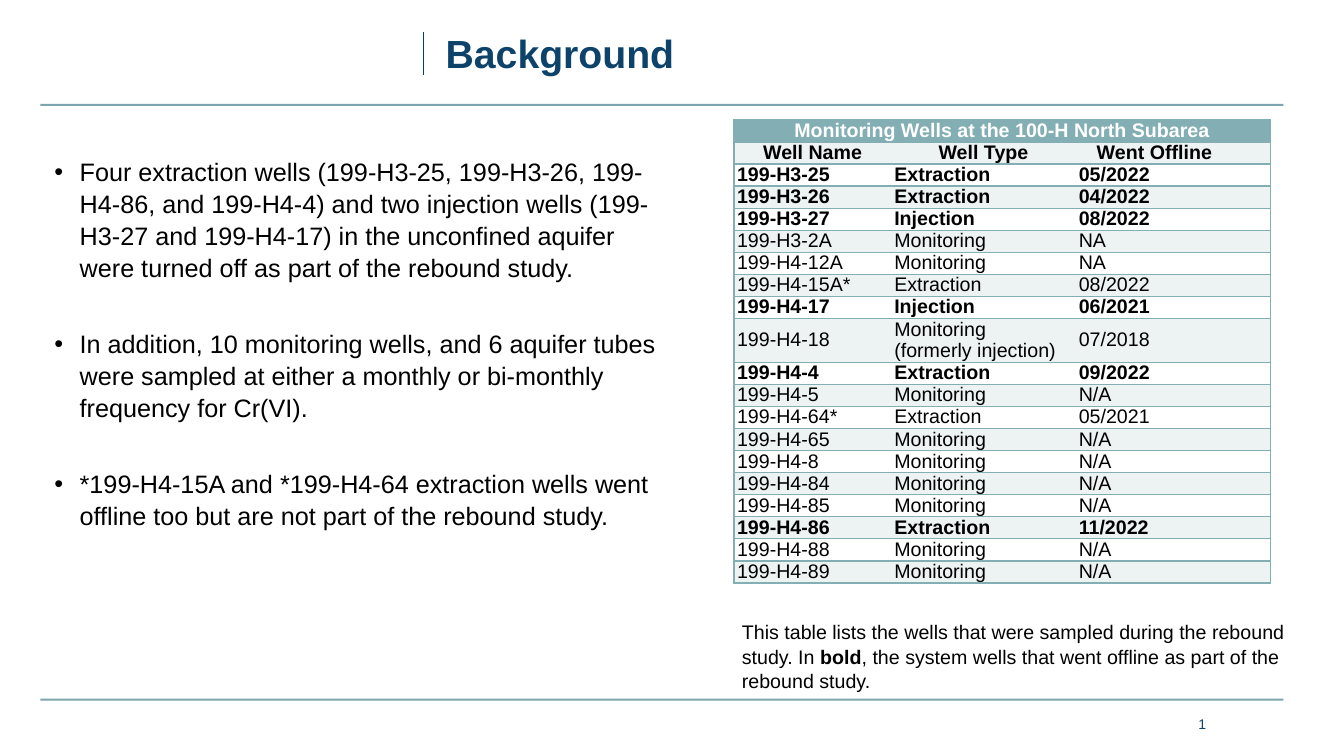
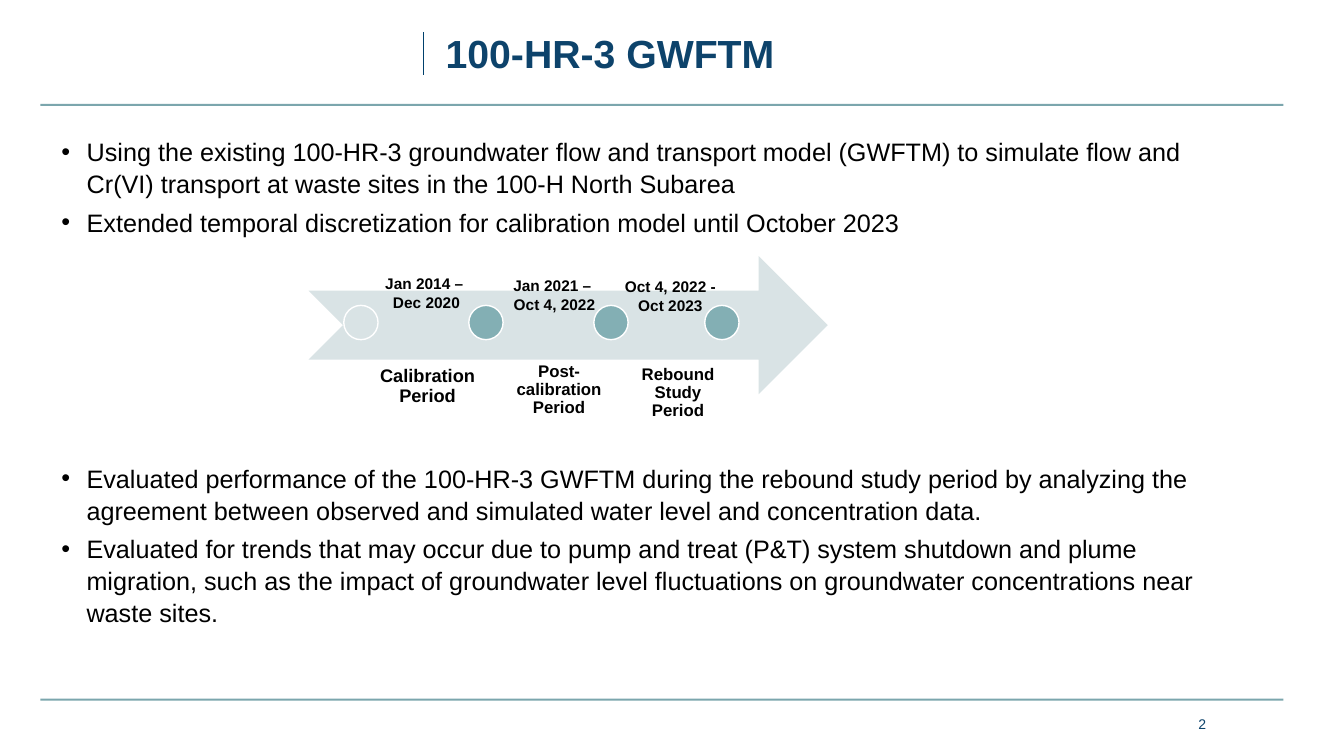
from dataclasses import dataclass
from typing import Optional

from lxml import etree
from pptx import Presentation, util as u
from pptx.dml.color import RGBColor
from pptx.enum import shapes, text
from pptx.oxml import ns

FONT = "Arial"
NAVY, RULE, TEAL = "0D436B", "7BA6AD", "83AFB4"
PALE, BAND, WHITE, BLACK = "D9E3E5", "EDF2F2", "FFFFFF", "000000"
LEFT, CENTER = text.PP_ALIGN.LEFT, text.PP_ALIGN.CENTER
TOP, MIDDLE, BOTTOM = (
    text.MSO_ANCHOR.TOP, text.MSO_ANCHOR.MIDDLE, text.MSO_ANCHOR.BOTTOM)


@dataclass
class Box:
    left: float
    top: float
    width: float
    height: float

    def emu(self) -> list:
        return [u.Inches(v) for v in (self.left, self.top, self.width, self.height)]


@dataclass
class Label:
    words: str
    box: Box
    size: float
    spacing: float = 1.05
    anchor: text.MSO_ANCHOR = TOP
    inset: Optional[float] = None


@dataclass
class Well:
    name: str
    kind: str
    offline: str
    bold: bool = False


WELLS = [
    Well("199‑H3‑25", "Extraction", "05/2022", True),
    Well("199‑H3‑26", "Extraction", "04/2022", True),
    Well("199‑H3‑27", "Injection", "08/2022", True),
    Well("199‑H3‑2A", "Monitoring", "NA"),
    Well("199‑H4‑12A", "Monitoring", "NA"),
    Well("199‑H4‑15A*", "Extraction", "08/2022"),
    Well("199‑H4‑17", "Injection", "06/2021", True),
    Well("199‑H4‑18", "Monitoring\n(formerly injection)", "07/2018"),
    Well("199‑H4‑4", "Extraction", "09/2022", True),
    Well("199‑H4‑5", "Monitoring", "N/A"),
    Well("199‑H4‑64*", "Extraction", "05/2021"),
    Well("199‑H4‑65", "Monitoring", "N/A"),
    Well("199‑H4‑8", "Monitoring", "N/A"),
    Well("199‑H4‑84", "Monitoring", "N/A"),
    Well("199‑H4‑85", "Monitoring", "N/A"),
    Well("199‑H4‑86", "Extraction", "11/2022", True),
    Well("199‑H4‑88", "Monitoring", "N/A"),
    Well("199‑H4‑89", "Monitoring", "N/A"),
]

TIMELINE = [
    Label("Calibration Period", Box(3.58, 3.54, 1.32, 1.37), 13, 0.9, TOP, 0.1),
    Label("Post-calibration Period", Box(5.02, 2.86, 1.05, 1.37), 12, 0.9, BOTTOM, 0.09),
    Label("Rebound Study Period", Box(6.2, 3.54, 1.05, 1.37), 12, 0.9, TOP, 0.09),
    Label("Jan 2014 – \nDec 2020", Box(3.55, 2.66, 1.36, 0.47), 11),
    Label("Jan 2021 – \nOct 4, 2022", Box(4.82, 2.68, 1.36, 0.47), 11),
    Label("Oct 4, 2022 - Oct 2023", Box(5.97, 2.69, 1.36, 0.47), 11),
]


def rgb(value: str) -> RGBColor:
    return RGBColor.from_string(value)


def apply(target, values: dict) -> None:
    for key, value in values.items():
        setattr(target, key, value)


def style(font, size: float, color: str = BLACK, bold: bool = False) -> None:
    apply(font, {"name": FONT, "size": u.Pt(size), "bold": bold})
    font.color.rgb = rgb(color)


def layout_paragraph(p, align=LEFT, spacing: float = 1.05, after: float = 0) -> None:
    apply(p, {"alignment": align, "line_spacing": spacing,
              "space_before": u.Pt(0), "space_after": u.Pt(after)})


def prepare(tf, anchor=TOP) -> None:
    apply(tf, {"word_wrap": True, "auto_size": text.MSO_AUTO_SIZE.NONE,
               "vertical_anchor": anchor})


def place(sp, box: Box) -> None:
    apply(sp, dict(zip(("left", "top", "width", "height"), box.emu())))


def add_text(s, box: Box, anchor=TOP):
    tf = s.shapes.add_textbox(*box.emu()).text_frame
    prepare(tf, anchor)
    return tf


def add_shape(s, kind, box: Box, fill: Optional[str], line: Optional[str] = None) -> None:
    sp = s.shapes.add_shape(kind, *box.emu())
    sp.shadow.inherit = False
    if fill:
        sp.fill.solid()
        sp.fill.fore_color.rgb = rgb(fill)
    else:
        sp.fill.background()
    if line:
        sp.line.color.rgb = rgb(line)
        sp.line.width = u.Pt(1)
    else:
        sp.line.fill.background()


def add_bullets(tf, items: list, after: float = 5) -> None:
    prepare(tf)
    for i, item in enumerate(items):
        p = tf.paragraphs[0] if i == 0 else tf.add_paragraph()
        p.text = item
        layout_paragraph(p, after=after)
        pr = p._p.get_or_add_pPr()
        pr.set("marL", str(u.Inches(0.25)))
        pr.set("indent", str(-u.Inches(0.25)))
        etree.SubElement(pr, ns.qn("a:buFont"), typeface=FONT)
        etree.SubElement(pr, ns.qn("a:buChar"), char="•")
        style(p.font, 18)


def add_label(s, label: Label) -> None:
    tf = add_text(s, label.box, label.anchor)
    if label.inset is not None:
        sides = ("margin_left", "margin_top", "margin_right", "margin_bottom")
        apply(tf, dict.fromkeys(sides, u.Inches(label.inset)))
    p = tf.paragraphs[0]
    p.text = label.words
    layout_paragraph(p, CENTER, label.spacing)
    style(p.font, label.size, bold=True)


def add_page_number(s, number: int) -> None:
    p = add_text(s, Box(11.05, 7.05, 1.75, 0.27)).paragraphs[0]
    layout_paragraph(p, CENTER, 1)
    r = p.add_run()
    r.text = str(number)
    style(r.font, 10, NAVY)
    field = r._r
    field.tag = ns.qn("a:fld")
    field.set("id", "{B6F15528-21DE-4FAA-801E-634DDDAF4B2B}")
    field.set("type", "slidenum")


def add_frame(prs, title: str, number: int):
    s = prs.slides.add_slide(prs.slide_layouts[1])
    for top in (6.93, 1.03):
        add_shape(s, shapes.MSO_SHAPE.RECTANGLE, Box(0.4, top, 12.33, 0.02), RULE)
    divider = s.shapes.add_connector(
        shapes.MSO_CONNECTOR.STRAIGHT,
        u.Inches(4.2), u.Inches(0.32), u.Inches(4.2), u.Inches(0.74))
    divider.line.color.rgb = rgb("00406C")
    divider.line.width = u.Pt(0.5)
    etree.SubElement(divider._element.spPr, ns.qn("a:effectLst"))
    add_page_number(s, number)
    sp = s.shapes.title
    place(sp, Box(4.32, 0.05, 9.01, 1))
    prepare(sp.text_frame, MIDDLE)
    p = sp.text_frame.paragraphs[0]
    p.text = title
    layout_paragraph(p, spacing=0.9)
    style(p.font, 28, NAVY, True)
    return s


def add_body(s, box: Box, items: list, after: float = 5) -> None:
    sp = s.placeholders[1]
    place(sp, box)
    add_bullets(sp.text_frame, items, after)


def set_borders(cell, left: bool, right: bool) -> None:
    pr = cell._tc.get_or_add_tcPr()
    for side, shown in (("L", left), ("R", right), ("T", True), ("B", True)):
        ln = etree.SubElement(pr, ns.qn(f"a:ln{side}"), w=str(u.Pt(1)))
        if shown:
            fill = etree.SubElement(ln, ns.qn("a:solidFill"))
            etree.SubElement(fill, ns.qn("a:srgbClr"), val=TEAL)
        else:
            etree.SubElement(ln, ns.qn("a:noFill"))


def fill_cell(cell, words: str, fill: str, color: str = BLACK,
              bold: bool = False, align=LEFT, inset: float = 0.03) -> None:
    cell.fill.solid()
    cell.fill.fore_color.rgb = rgb(fill)
    apply(cell, {"margin_left": u.Inches(inset), "margin_right": u.Inches(inset),
                 "margin_top": 0, "margin_bottom": 0, "vertical_anchor": MIDDLE})
    p = cell.text_frame.paragraphs[0]
    p.text = words
    layout_paragraph(p, align, 0.98)
    style(p.font, 14, color, bold)


def add_well_table(s) -> None:
    widths = (1.56, 1.83, 1.56, 0.37)
    row_height = 0.218
    count = len(WELLS) + 2
    box = Box(7.28, 1.19, sum(widths), row_height * count)
    table = s.shapes.add_table(count, len(widths), *box.emu()).table
    apply(table, {"first_row": False, "horz_banding": False})
    for column, width in zip(table.columns, widths):
        column.width = u.Inches(width)
    last = len(widths) - 1
    rows = [("Monitoring Wells at the 100‑H North Subarea", "", "", ""),
            ("Well Name", "Well Type", "Went Offline", "")]
    rows += [(w.name, w.kind, w.offline, "") for w in WELLS]
    for i, row in enumerate(rows):
        lines = max(words.count("\n") + 1 for words in row)
        table.rows[i].height = u.Inches(row_height * lines)
        heading = i < 2
        for j, words in enumerate(row):
            cell = table.cell(i, j)
            set_borders(cell, j == 0, j == last or i == 0)
            fill_cell(cell, words,
                      TEAL if i == 0 else (BAND if i % 2 else WHITE),
                      WHITE if i == 0 else BLACK,
                      heading or WELLS[i - 2].bold,
                      CENTER if heading else LEFT,
                      0.07 if i == 0 else 0.03)
    table.cell(0, 0).merge(table.cell(0, last))


def build_background(prs) -> None:
    s = add_frame(prs, "Background", 4)
    add_body(s, Box(0.44, 1.49, 6.23, 3.07), [
        "Four extraction wells (199-H3-25, 199-H3-26, 199-H4-86, and 199-H4-4) and two injection wells (199-H3-27 and 199-H4-17) in the unconfined aquifer were turned off as part of the rebound study.",
        "In addition, 10 monitoring wells, and 6 aquifer tubes were sampled at either a monthly or bi-monthly frequency for Cr(VI).",
        "*199-H4-15A and *199-H4-64 extraction wells went offline too but are not part of the rebound study.",
    ], after=32)
    add_well_table(s)
    p = add_text(s, Box(7.26, 6.09, 5.94, 0.81)).paragraphs[0]
    layout_paragraph(p)
    for words, bold in (
            ("This table lists the wells that were sampled during the rebound study. In ", False),
            ("bold", True),
            (", the system wells that went offline as part of the rebound study.", False)):
        r = p.add_run()
        r.text = words
        style(r.font, 14, bold=bold)


def build_model(prs) -> None:
    s = add_frame(prs, "100-HR-3 GWFTM", 5)
    add_body(s, Box(0.51, 1.29, 11.55, 1.36), [
        "Using the existing 100-HR-3 groundwater flow and transport model (GWFTM) to simulate flow and Cr(VI) transport at waste sites in the 100-H North Subarea",
        "Extended temporal discretization for calibration model until October 2023",
    ])
    add_bullets(add_text(s, Box(0.51, 4.53, 11.88, 1.69)), [
        "Evaluated performance of the 100-HR-3 GWFTM during the rebound study period by analyzing the agreement between observed and simulated water level and concentration data.",
        "Evaluated for trends that may occur due to pump and treat (P&T) system shutdown and plume migration, such as the impact of groundwater level fluctuations on groundwater concentrations near waste sites.",
    ])
    add_shape(s, shapes.MSO_SHAPE.NOTCHED_RIGHT_ARROW, Box(3.06, 2.54, 5.15, 1.37), PALE)
    for left, fill in ((3.41, None), (4.65, TEAL), (5.89, TEAL), (6.99, TEAL)):
        add_shape(s, shapes.MSO_SHAPE.OVAL, Box(left, 3.03, 0.34, 0.34), fill, WHITE)
    for label in TIMELINE:
        add_label(s, label)


def main() -> None:
    prs = Presentation()
    apply(prs, {"slide_width": u.Inches(13.33), "slide_height": u.Inches(7.5)})
    build_background(prs)
    build_model(prs)
    prs.save("out.pptx")


if __name__ == "__main__":
    main()
